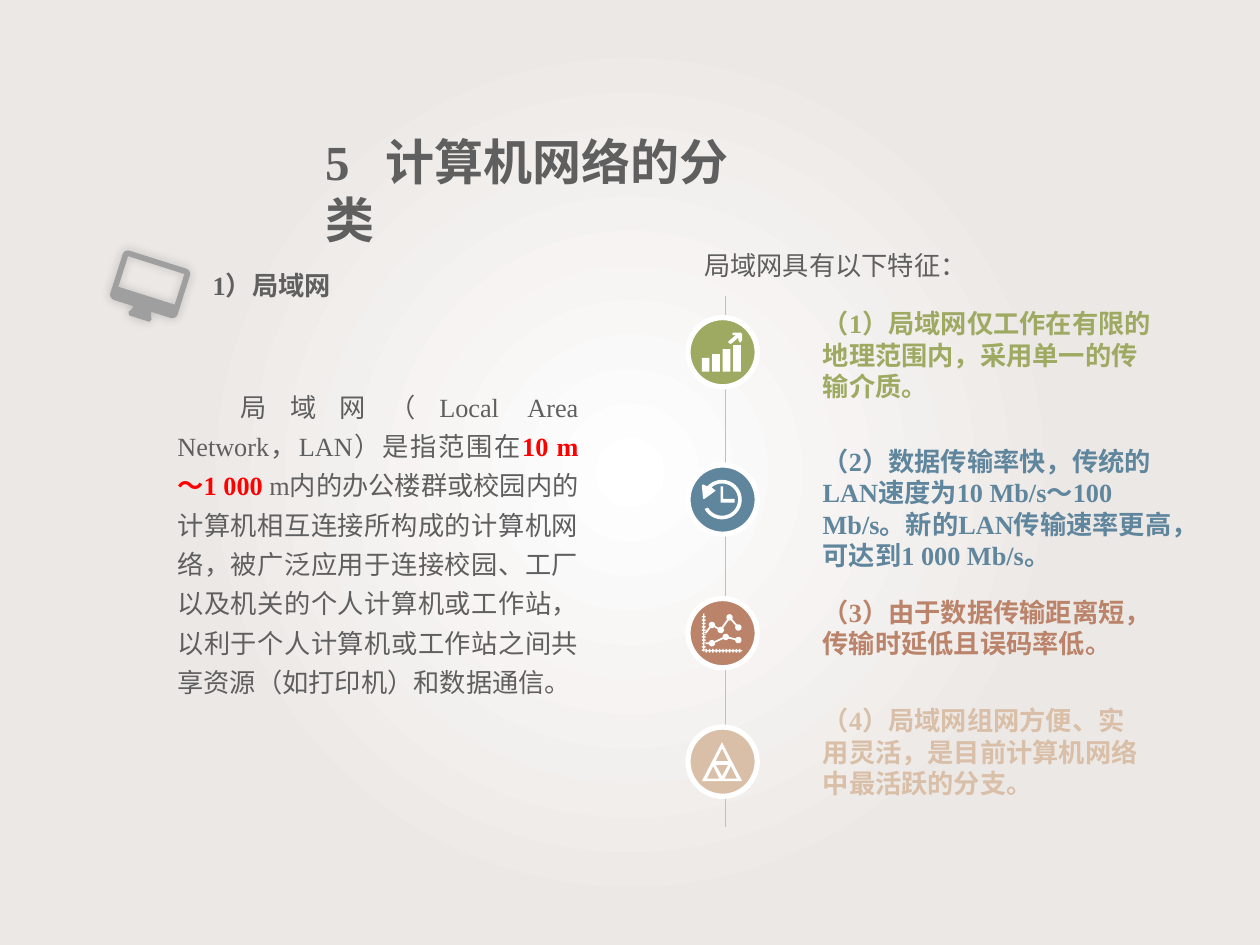
import math
from dataclasses import dataclass

import pptx
import pptx.dml.color
import pptx.enum.dml
import pptx.enum.shapes
import pptx.enum.text
import pptx.oxml
import pptx.oxml.ns
import pptx.util
from pptx.util import Inches

Contour = list[tuple[float, float]]
Box = tuple[float, float, float, float]
ALIGN = pptx.enum.text.PP_ALIGN
ANCHOR = pptx.enum.text.MSO_ANCHOR


@dataclass(frozen=True)
class Theme:
    font: str = "Times New Roman"
    title_size: float = 28
    body_size: float = 15
    text: str = "5F5F5F"
    accent: str = "FF0000"
    white: str = "FFFFFF"
    backdrop: str = "ECE8E5"
    rail: str = "BFBFBF"
    monitor: str = "9F9F9F"


@dataclass(frozen=True)
class Run:
    text: str
    color: str
    bold: bool = False


@dataclass(frozen=True)
class Feature:
    text: str
    color: str
    badge_top: float
    box: Box
    icon: list[Contour]


THEME = Theme()


def rgb(color: str) -> pptx.dml.color.RGBColor:
    return pptx.dml.color.RGBColor.from_string(color)


def xml(markup: str):
    return pptx.oxml.parse_xml(markup.replace(" ", f" {pptx.oxml.ns.nsdecls('a')} ", 1))


def arc(cx: float, cy: float, radius: float, start: float, end: float) -> Contour:
    """Points along an arc; angles in degrees, clockwise from the right."""
    steps = max(4, round(abs(end - start) / 10))
    angles = [math.radians(start + (end - start) * i / steps) for i in range(steps + 1)]
    return [(cx + radius * math.cos(a), cy + radius * math.sin(a)) for a in angles]


def rect(left: float, top: float, right: float, bottom: float) -> Contour:
    return [(left, top), (right, top), (right, bottom), (left, bottom)]


def dotted_line(points: Contour, half_width: float = 0.007, dot: float = 0.025) -> Contour:
    """Outline of a thin line with a round dot at every point but the first."""
    count = len(points)
    tour = [*range(count), *range(count - 2, 0, -1)]
    outline = []
    for step, here in enumerate(tour):
        x, y = points[here]
        (px, py), (nx, ny) = points[tour[step - 1]], points[tour[(step + 1) % len(tour)]]
        radius = dot if here else half_width
        gap = math.degrees(math.asin(half_width / radius))
        start = math.degrees(math.atan2(py - y, px - x)) + gap
        end = math.degrees(math.atan2(ny - y, nx - x)) - gap
        outline += arc(x, y, radius, start, start + (end - start) % 360)
    return outline


def bars_icon() -> list[Contour]:
    bars = [rect(0.083 * i, top, 0.083 * i + 0.06, 0.31)
            for i, top in enumerate((0.2, 0.17, 0.13, 0.1))]
    arrow = [(0.25, 0), (0.31, 0), (0.32, 0.01), (0.32, 0.06), (0.305, 0.08), (0.29, 0.06),
             (0.29, 0.04), (0.23, 0.09), (0.21, 0.08), (0.21, 0.07), (0.27, 0.02),
             (0.25, 0.02), (0.24, 0.01)]
    return [*bars, arrow]


def history_icon() -> list[Contour]:
    arrow = [(0.01, 0.035), (0, 0.04), (0.01, 0.15), (0.02, 0.15), (0.11, 0.085), (0.08, 0.06)]
    ring = (arc(0.16, 0.155, 0.157, 152, -138) + arrow
            + arc(0.16, 0.155, 0.128, -130, 150))
    hands = [(0.15, 0.05), (0.17, 0.05), (0.17, 0.15), (0.26, 0.15), (0.26, 0.18), (0.15, 0.18)]
    return [ring, hands]


def trend_icon() -> list[Contour]:
    pitch, tick = 0.0265, 0.011
    contours = [[(0.01, 0), (0.02, 0), (0.02, 0.29), (0.32, 0.29), (0.32, 0.3), (0.01, 0.3)]]
    for i in range(11):
        y, x = 0.02 + pitch * i, 0.03 + pitch * i
        contours += [rect(0, y, 0.01, y + tick), rect(0.02, y, 0.03, y + tick),
                     rect(x, 0.28, x + tick, 0.29), rect(x, 0.3, x + tick, 0.31)]
    upper = [(0.025, 0.16), (0.08, 0.09), (0.15, 0.13), (0.22, 0.03), (0.29, 0.11)]
    lower = [(0.025, 0.235), (0.08, 0.235), (0.19, 0.185), (0.29, 0.21)]
    return contours + [dotted_line(upper), dotted_line(lower)]


def triangles_icon() -> list[Contour]:
    return [[(0.16, 0), (0.32, 0.31), (0, 0.31)],
            [(0.16, 0.05), (0.21, 0.15), (0.11, 0.15)],
            [(0.09, 0.19), (0.14, 0.29), (0.04, 0.29)],
            [(0.11, 0.18), (0.21, 0.18), (0.16, 0.27)],
            [(0.23, 0.19), (0.28, 0.29), (0.18, 0.29)]]


def monitor_outline() -> list[Contour]:
    body = (arc(0.045, 0.045, 0.045, 180, 270) + arc(0.515, 0.045, 0.045, 270, 360)
            + arc(0.515, 0.365, 0.045, 0, 90))
    foot = [(0.355, 0.41), (0.36, 0.44), (0.375, 0.465), (0.365, 0.49),
            (0.195, 0.49), (0.183, 0.465), (0.2, 0.44), (0.206, 0.41)]
    return [body + foot + arc(0.045, 0.365, 0.045, 90, 180), rect(0.045, 0.045, 0.515, 0.3)]


def draw_outline(slide, left: float, top: float, contours: list[Contour], color: str):
    placed = [[(Inches(left + x), Inches(top + y)) for x, y in contour] for contour in contours]
    builder = slide.shapes.build_freeform(*placed[0][0])
    for contour in placed:
        builder.move_to(*contour[0])
        builder.add_line_segments(contour[1:], close=True)
    outline = builder.convert_to_shape()
    outline.shadow.inherit = False
    outline.fill.solid()
    outline.fill.fore_color.rgb = rgb(color)
    outline.line.fill.background()
    return outline


def write(holder, box: Box, runs: list[Run], size: float = THEME.body_size,
          frame_format: dict | None = None, paragraph_format: dict | None = None,
          indent: float = 0, tab: float = 0) -> None:
    for side, length in zip(("left", "top", "width", "height"), box):
        setattr(holder, side, Inches(length))
    frame = holder.text_frame
    defaults = {"word_wrap": True, "vertical_anchor": ANCHOR.TOP,
                "auto_size": pptx.enum.text.MSO_AUTO_SIZE.SHAPE_TO_FIT_TEXT}
    for name, value in (defaults | (frame_format or {})).items():
        setattr(frame, name, value)
    paragraph = frame.paragraphs[0]
    for name, value in ({"alignment": ALIGN.LEFT} | (paragraph_format or {})).items():
        setattr(paragraph, name, value)
    properties = paragraph._p.get_or_add_pPr()
    if indent:
        properties.set("indent", str(Inches(indent)))
    if tab:
        properties.append(xml(f'<a:tabLst ><a:tab pos="{Inches(tab)}" algn="l"/></a:tabLst>'))
    for part in runs:
        run = paragraph.add_run()
        run.text = part.text
        font_format = {"name": THEME.font, "size": pptx.util.Pt(size), "bold": part.bold}
        for name, value in font_format.items():
            setattr(run.font, name, value)
        run.font.color.rgb = rgb(part.color)


def add_text(slide, box: Box, runs: list[Run], **formats) -> None:
    write(slide.shapes.add_textbox(0, 0, 0, 0), box, runs, **formats)


def paint_background(slide) -> None:
    fill = slide.background.fill
    fill.gradient()
    for stop, (position, color) in zip(fill.gradient_stops,
                                       ((0, THEME.white), (0.57, THEME.backdrop))):
        stop.position = position
        stop.color.rgb = rgb(color)
    linear = slide.element.xpath(".//p:bg//a:lin")[0]
    linear.getparent().replace(linear, xml(
        '<a:path path="circle"><a:fillToRect l="50000" t="50000" r="50000" b="50000"/></a:path>'))


def draw_rail(slide) -> None:
    rail = slide.shapes.add_connector(pptx.enum.shapes.MSO_CONNECTOR.STRAIGHT,
                                      Inches(5.76), Inches(6.56), Inches(5.76), Inches(2.35))
    rail.line.color.rgb = rgb(THEME.rail)
    rail.line.width = pptx.util.Pt(0.5)
    rail._element.spPr.append(xml("<a:effectLst />"))


def draw_feature(slide, feature: Feature) -> None:
    badge = slide.shapes.add_shape(pptx.enum.shapes.MSO_SHAPE.OVAL, Inches(5.46),
                                   Inches(feature.badge_top), Inches(0.55), Inches(0.55))
    badge.shadow.inherit = False
    badge.fill.solid()
    badge.fill.fore_color.rgb = rgb(feature.color)
    badge.line.color.rgb = rgb(THEME.white)
    badge.line.width = pptx.util.Pt(3)
    draw_outline(slide, 5.57, feature.badge_top + 0.12, feature.icon, THEME.white)
    add_text(slide, feature.box, [Run(feature.text, feature.color, True)],
             frame_format={"vertical_anchor": ANCHOR.BOTTOM,
                           "margin_left": Inches(0.07), "margin_right": Inches(0.07),
                           "margin_top": Inches(0.04), "margin_bottom": Inches(0.04)})


def draw_monitor(slide) -> None:
    monitor = draw_outline(slide, 0.9, 2.05, monitor_outline(), THEME.monitor)
    monitor.rotation = 17.6
    effects = monitor._element.spPr.find(pptx.oxml.ns.qn("a:effectLst"))
    effects.append(xml(f'<a:outerShdw blurRad="{pptx.util.Pt(6)}" dist="0" dir="18900000">'
                       '<a:srgbClr val="000000"><a:alpha val="20000"/></a:srgbClr></a:outerShdw>'))


FEATURES = [
    Feature("（1）局域网仅工作在有限的地理范围内，采用单一的传输介质。",
            "9EAA62", 2.52, (6.46, 2.4, 2.75, 0.83), bars_icon()),
    Feature("（2）数据传输率快，传统的LAN速度为10 Mb/s～100 Mb/s。新的LAN传输速率更高，可达到1 000 Mb/s。",
            "60869E", 3.69, (6.46, 3.48, 2.94, 1.09), history_icon()),
    Feature("（3）由于数据传输距离短，传输时延低且误码率低。",
            "BA836A", 4.75, (6.46, 4.69, 2.76, 0.58), trend_icon()),
    Feature("（4）局域网组网方便、实用灵活，是目前计算机网络中最活跃的分支。",
            "D9BFA7", 5.77, (6.46, 5.55, 2.71, 0.83), triangles_icon()),
]
DEFINITION = [
    Run("局域网（Local Area Network，LAN）是指范围在", THEME.text),
    Run("10 m～1 000 ", THEME.accent, True),
    Run("m内的办公楼群或校园内的计算机相互连接所构成的计算机网络，被广泛应用于连接校园、工厂以及机关的个人计算机或工作站，"
        "以利于个人计算机或工作站之间共享资源（如打印机）和数据通信。", THEME.text),
]


def main() -> None:
    deck = pptx.Presentation()
    deck.slide_width, deck.slide_height = Inches(10), Inches(7.5)
    slide = deck.slides.add_slide(deck.slide_layouts[5])
    paint_background(slide)
    write(slide.shapes.title, (2.48, 0.99, 3.7, 0.57),
          [Run("5\t计算机网络的分类", THEME.text, True)], size=THEME.title_size, tab=0.48)
    draw_rail(slide)
    for feature in FEATURES:
        draw_feature(slide, feature)
    prose = {"paragraph_format": {"alignment": ALIGN.JUSTIFY, "line_spacing": 1.25}, "indent": 0.5}
    add_text(slide, (1.31, 2.99, 3.38, 2.62), DEFINITION, **prose)
    add_text(slide, (4.99, 1.87, 2.87, 0.42), [Run("局域网具有以下特征：", THEME.text)], **prose)
    draw_monitor(slide)
    add_text(slide, (1.59, 2.09, 1.14, 0.35), [Run("1）局域网", THEME.text, True)])
    deck.save("out.pptx")


if __name__ == "__main__":
    main()
